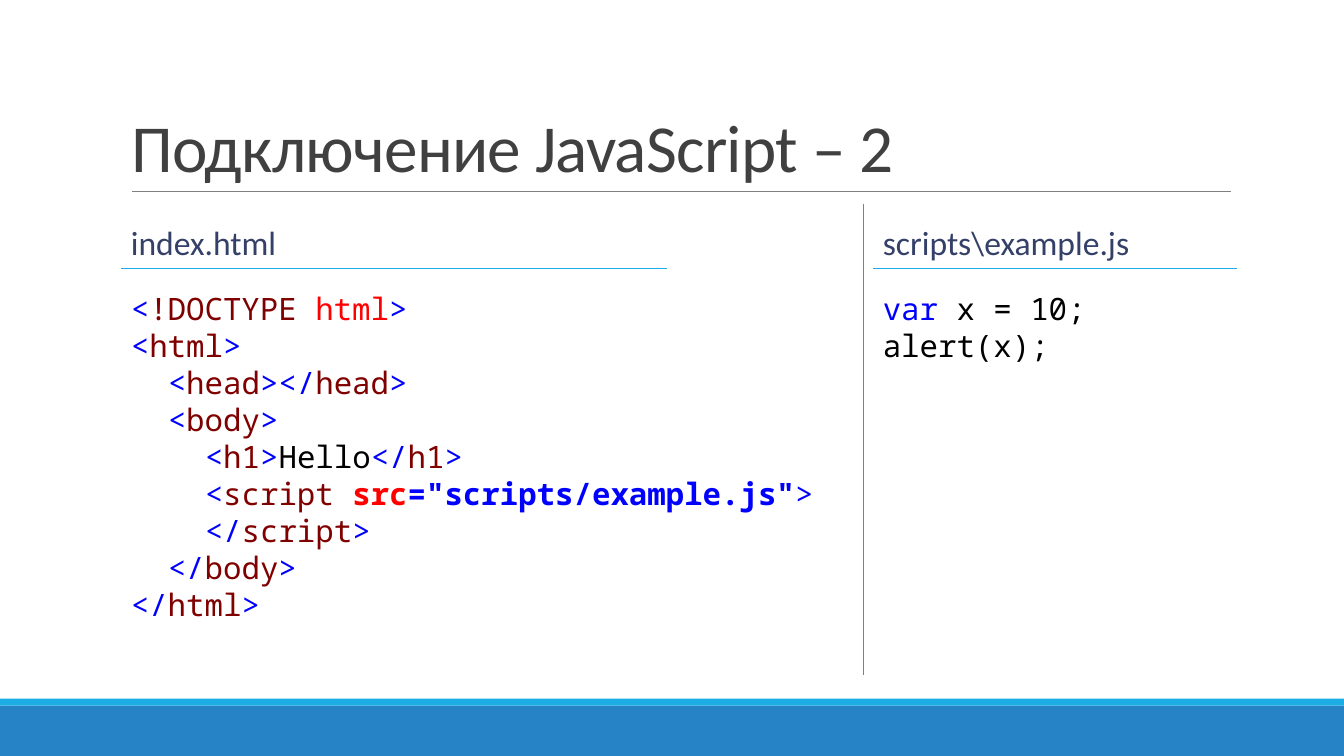
from pptx import Presentation
from pptx.dml.color import RGBColor
from pptx.enum.shapes import MSO_CONNECTOR, MSO_SHAPE
from pptx.enum.text import MSO_ANCHOR, MSO_AUTO_SIZE, PP_ALIGN
from pptx.oxml.ns import qn
from pptx.util import Pt
from lxml import etree

# Colours
BLUE_BAND = RGBColor(0x26, 0x83, 0xC6)
CYAN = RGBColor(0x1C, 0xAD, 0xE4)
GREY = RGBColor(0x80, 0x80, 0x80)
TITLE_GREY = RGBColor(0x40, 0x40, 0x40)
HEADING = RGBColor(0x34, 0x40, 0x68)
MARK = RGBColor(0x00, 0x00, 0xFF)
TAG = RGBColor(0x80, 0x00, 0x00)
ATTRIBUTE = RGBColor(0xFF, 0x00, 0x00)
PLAIN = RGBColor(0x00, 0x00, 0x00)

# Content: each code line is (nesting level, tokens); a token is (text, colour[, bold])
TITLE = "Подключение JavaScript – 2"
OPEN, OPEN_END, CLOSE = ("<", MARK), ("</", MARK), (">", MARK)
HTML_CODE = [
    (0, [OPEN, ("!DOCTYPE ", TAG), ("html", ATTRIBUTE), CLOSE]),
    (0, [OPEN, ("html", TAG), CLOSE]),
    (1, [OPEN, ("head", TAG), CLOSE, OPEN_END, ("head", TAG), CLOSE]),
    (1, [OPEN, ("body", TAG), CLOSE]),
    (2, [OPEN, ("h1", TAG), CLOSE, ("Hello", PLAIN), OPEN_END, ("h1", TAG), CLOSE]),
    (2, [OPEN, ("script ", TAG), ("src", ATTRIBUTE, True),
         ('="scripts/example.js"', MARK, True), CLOSE]),
    (2, [OPEN_END, ("script", TAG), CLOSE]),
    (1, [OPEN_END, ("body", TAG), CLOSE]),
    (0, [OPEN_END, ("html", TAG), CLOSE]),
]
JS_CODE = [
    (0, [("var", MARK), (" x = 10;", PLAIN)]),
    (0, [("alert(x);", PLAIN)]),
]

# Columns: heading, code, left, heading width, code width, rule width
COLUMNS = [
    ("index.html", HTML_CODE, 86.4, 388.8, 523.4, 390.2),
    ("scripts\\example.js", JS_CODE, 623.5, 254.9, 254.9, 260),
]
HEADING_TOP, HEADING_HEIGHT = 145.4, 58.3
CODE_TOP, CODE_HEIGHT = 203.4, 258.5
RULE_TOP = 191.5
CODE_SIZE, CODE_LEADING = 22, 26.4
LEVEL_INDENT = 2 * 0.6 * CODE_SIZE  # two monospaced characters

presentation = Presentation()
presentation.slide_width, presentation.slide_height = Pt(960), Pt(540)
slide = presentation.slides.add_slide(presentation.slide_layouts[5])


def add_band(top, height, colour):
    band = slide.shapes.add_shape(MSO_SHAPE.RECTANGLE, 0, Pt(top), Pt(960), Pt(height))
    band.shadow.inherit = False
    band.fill.solid()
    band.fill.fore_color.rgb = colour
    band.line.fill.background()


def add_rule(x1, y1, x2, y2, colour, width):
    rule = slide.shapes.add_connector(MSO_CONNECTOR.STRAIGHT, Pt(x1), Pt(y1), Pt(x2), Pt(y2))
    rule.line.color.rgb = colour
    rule.line.width = Pt(width)
    etree.SubElement(rule._element.spPr, qn("a:effectLst"))


def add_text_frame(left, top, width, height, anchor):
    box = slide.shapes.add_textbox(Pt(left), Pt(top), Pt(width), Pt(height))
    frame = box.text_frame
    frame.word_wrap = True
    frame.vertical_anchor = anchor
    return frame


def format_run(run, font_name, size, colour, bold=False):
    run.font.name = font_name
    run.font.size = Pt(size)
    run.font.color.rgb = colour
    run.font.bold = bold


def add_code(frame, lines):
    for index, (level, tokens) in enumerate(lines):
        paragraph = frame.paragraphs[0] if index == 0 else frame.add_paragraph()
        paragraph.line_spacing = Pt(CODE_LEADING)
        paragraph._p.get_or_add_pPr().set("marL", str(Pt(level * LEVEL_INDENT)))
        for text, *style in tokens:
            run = paragraph.add_run()
            run.text = text
            format_run(run, "Noto Sans Mono", CODE_SIZE, *style)


# Bottom bands and title rule
add_band(504, 36, BLUE_BAND)
add_band(499, 5, CYAN)
add_rule(94.3, 136.8, 879, 136.8, GREY, 0.5)

# Title
title = slide.shapes.title
title.left, title.top, title.width, title.height = Pt(86.4), Pt(22.3), Pt(792), Pt(114.5)
title_frame = title.text_frame
title_frame.text = TITLE
title_frame.word_wrap = True
title_frame.auto_size = MSO_AUTO_SIZE.NONE
title_frame.vertical_anchor = MSO_ANCHOR.BOTTOM
title_paragraph = title_frame.paragraphs[0]
title_paragraph.alignment = PP_ALIGN.LEFT
title_paragraph.line_spacing = 0.85
title_run = title_paragraph.runs[0]
format_run(title_run, "Calibri", 48, TITLE_GREY)
title_run._r.get_or_add_rPr().set("spc", "-50")

# File columns
for heading, code, left, heading_width, code_width, rule_width in COLUMNS:
    heading_frame = add_text_frame(left, HEADING_TOP, heading_width, HEADING_HEIGHT,
                                   MSO_ANCHOR.MIDDLE)
    heading_frame.text = heading
    heading_paragraph = heading_frame.paragraphs[0]
    heading_paragraph.line_spacing = 0.9
    heading_paragraph.space_before, heading_paragraph.space_after = Pt(12), Pt(2)
    format_run(heading_paragraph.runs[0], "Calibri", 24, HEADING)
    add_code(add_text_frame(left, CODE_TOP, code_width, CODE_HEIGHT, MSO_ANCHOR.TOP), code)
    add_rule(left, RULE_TOP, left + rule_width, RULE_TOP, CYAN, 0.75)

# Divider between the columns
add_rule(616.7, 145.4, 616.7, 482.4, GREY, 0.5)

presentation.save("out.pptx")
